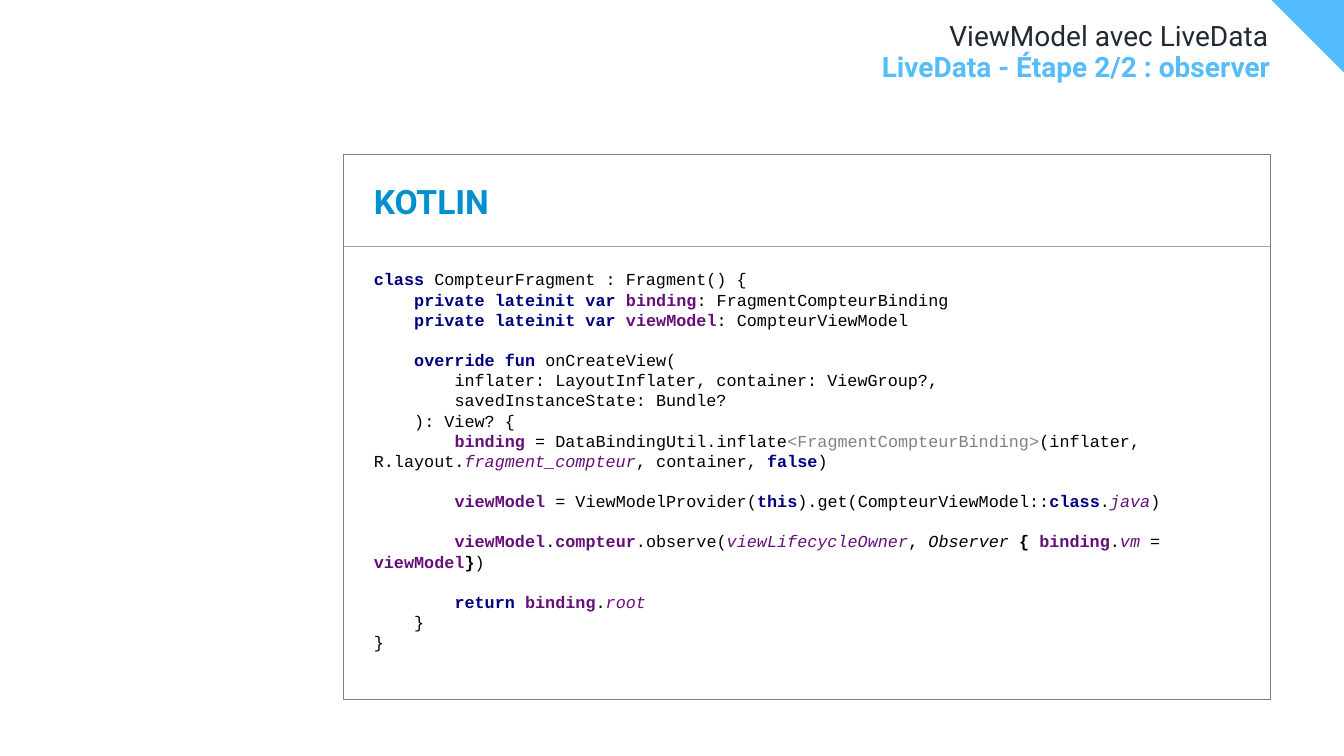
"""Build a slide that shows Kotlin code observing a LiveData."""
from dataclasses import dataclass

from lxml.etree import SubElement
from pptx import Presentation
from pptx.dml.color import RGBColor
from pptx.enum.shapes import MSO_CONNECTOR, MSO_SHAPE
from pptx.enum.text import MSO_ANCHOR, PP_ALIGN
from pptx.oxml.ns import qn
from pptx.util import Inches, Pt


@dataclass(frozen=True)
class Theme:
    accent: str = "55BDFD"
    title: str = "222933"
    heading: str = "0090CD"
    white: str = "FFFFFF"
    frame: str = "808080"
    rule: str = "A5A5A5"
    font: str = "Roboto"
    code_font: str = "Courier New"
    title_size: float = 20
    heading_size: float = 24
    code_size: float = 12
    code_leading: float = 14.4
    code_indent: float = 0.4


THEME = Theme()

CODE_STYLES = {
    "text": ("000000", False, False),
    "strong": ("000000", True, False),
    "type": ("000000", False, True),
    "keyword": ("000080", True, False),
    "field": ("660E7A", True, False),
    "property": ("660E7A", False, True),
    "generic": ("808080", False, False),
}

# level, blank lines above, runs
CODE = [
    (0, 0, [("keyword", "class "), ("text", "CompteurFragment : Fragment() {")]),
    (1, 0, [("keyword", "private lateinit var "), ("field", "binding"),
            ("text", ": FragmentCompteurBinding")]),
    (1, 0, [("keyword", "private lateinit var "), ("field", "viewModel"),
            ("text", ": CompteurViewModel")]),
    (1, 1, [("keyword", "override fun "), ("text", "onCreateView(")]),
    (2, 0, [("text", "inflater: LayoutInflater, container: ViewGroup?,")]),
    (2, 0, [("text", "savedInstanceState: Bundle?")]),
    (1, 0, [("text", "): View? {")]),
    (2, 0, [("field", "binding "), ("text", "= DataBindingUtil.inflate"),
            ("generic", "<FragmentCompteurBinding>"),
            ("text", "(inflater, R.layout."), ("property", "fragment_compteur"),
            ("text", ", container, "), ("keyword", "false"), ("text", ")")]),
    (2, 1, [("field", "viewModel "), ("text", "= ViewModelProvider("),
            ("keyword", "this"), ("text", ").get(CompteurViewModel::"),
            ("keyword", "class"), ("text", "."), ("property", "java"),
            ("text", ")")]),
    (2, 1, [("field", "viewModel"), ("text", "."), ("field", "compteur"),
            ("text", ".observe("), ("property", "viewLifecycleOwner"),
            ("text", ", "), ("type", "Observer "), ("strong", "{ "),
            ("field", "binding"), ("text", "."), ("property", "vm "),
            ("text", "= "), ("field", "viewModel"), ("strong", "}"),
            ("text", ")")]),
    (2, 1, [("keyword", "return "), ("field", "binding"), ("text", "."),
            ("property", "root")]),
    (1, 0, [("text", "}")]),
    (0, 0, [("text", "}")]),
]


def rgb(value):
    return RGBColor.from_string(value)


def box(left, top, width, height):
    return [Inches(v) for v in (left, top, width, height)]


def add_run(p, text, font, size, color, bold=False, italic=False):
    r = p.add_run()
    r.text = text
    r.font.name, r.font.size = font, Pt(size)
    r.font.bold, r.font.italic = bold, italic
    r.font.color.rgb = rgb(color)


def write_header(sp, text, color, bold=False):
    tf = sp.text_frame
    tf.word_wrap = True
    tf.vertical_anchor = MSO_ANCHOR.TOP
    tf.margin_left = tf.margin_top = tf.margin_right = tf.margin_bottom = 0
    p = tf.paragraphs[0]
    p.alignment = PP_ALIGN.RIGHT
    p.line_spacing = 0.9
    add_run(p, text, THEME.font, THEME.title_size, color, bold)


def add_title(s, text):
    sp = s.shapes.title
    sp.left, sp.top, sp.width, sp.height = box(0.37, 0.22, 12.21, 0.31)
    write_header(sp, text, THEME.title)


def add_subtitle(s, text):
    sp = s.shapes.add_textbox(*box(0.37, 0.53, 12.23, 0.43))
    write_header(sp, text, THEME.accent, bold=True)


def add_corner(s):
    left, right, bottom = Inches(12.6), Inches(13.35), Inches(0.74)
    top = Inches(-0.01)
    builder = s.shapes.build_freeform(left, top)
    builder.add_line_segments([(right, top), (right, bottom)])
    sp = builder.convert_to_shape()
    sp.shadow.inherit = False
    sp.fill.solid()
    sp.fill.fore_color.rgb = rgb(THEME.accent)
    sp.line.fill.background()


def add_panel(shapes, place, line=None):
    sp = shapes.add_shape(MSO_SHAPE.RECTANGLE, *box(*place))
    sp.shadow.inherit = False
    sp.fill.solid()
    sp.fill.fore_color.rgb = rgb(THEME.white)
    if line:
        sp.line.color.rgb = rgb(line)
        sp.line.width = Pt(1)
    else:
        sp.line.fill.background()
    return sp


def add_rule(shapes, left, right, y):
    cx = shapes.add_connector(MSO_CONNECTOR.STRAIGHT, Inches(left), Inches(y),
                              Inches(right), Inches(y))
    cx.line.color.rgb = rgb(THEME.rule)
    cx.line.width = Pt(0.5)
    SubElement(cx.line._get_or_add_ln().getparent(), qn("a:effectLst"))


def add_heading(shapes, text):
    tf = shapes.add_textbox(*box(3.61, 1.55, 1.44, 0.69)).text_frame
    tf.word_wrap = True
    tf.vertical_anchor = MSO_ANCHOR.BOTTOM
    add_run(tf.paragraphs[0], text, THEME.font, THEME.heading_size,
            THEME.heading, bold=True)


def add_code(shapes, lines):
    tf = add_panel(shapes, (3.61, 2.6, 8.83, 3.94)).text_frame
    tf.word_wrap = True
    tf.vertical_anchor = MSO_ANCHOR.MIDDLE
    for i, (level, blanks, runs) in enumerate(lines):
        p = tf.add_paragraph() if i else tf.paragraphs[0]
        p.alignment = PP_ALIGN.LEFT
        p.line_spacing = Pt(THEME.code_leading)
        p.space_before = Pt(THEME.code_leading * blanks)
        pPr = p._p.get_or_add_pPr()
        pPr.set("marL", "0")
        pPr.set("indent", str(Inches(THEME.code_indent * level)))
        for style, text in runs:
            add_run(p, text, THEME.code_font, THEME.code_size,
                    *CODE_STYLES[style])


def main():
    prs = Presentation()
    prs.slide_width, prs.slide_height = Inches(13.33), Inches(7.5)
    s = prs.slides.add_slide(prs.slide_layouts[5])
    add_corner(s)
    add_title(s, "ViewModel avec LiveData")
    add_subtitle(s, "LiveData - Étape 2/2 : observer")
    card = s.shapes.add_group_shape().shapes
    add_panel(card, (3.41, 1.53, 9.19, 5.41), THEME.frame)
    add_rule(card, 3.41, 12.6, 2.44)
    add_heading(card, "KOTLIN")
    add_code(card, CODE)
    prs.save("out.pptx")


if __name__ == "__main__":
    main()
